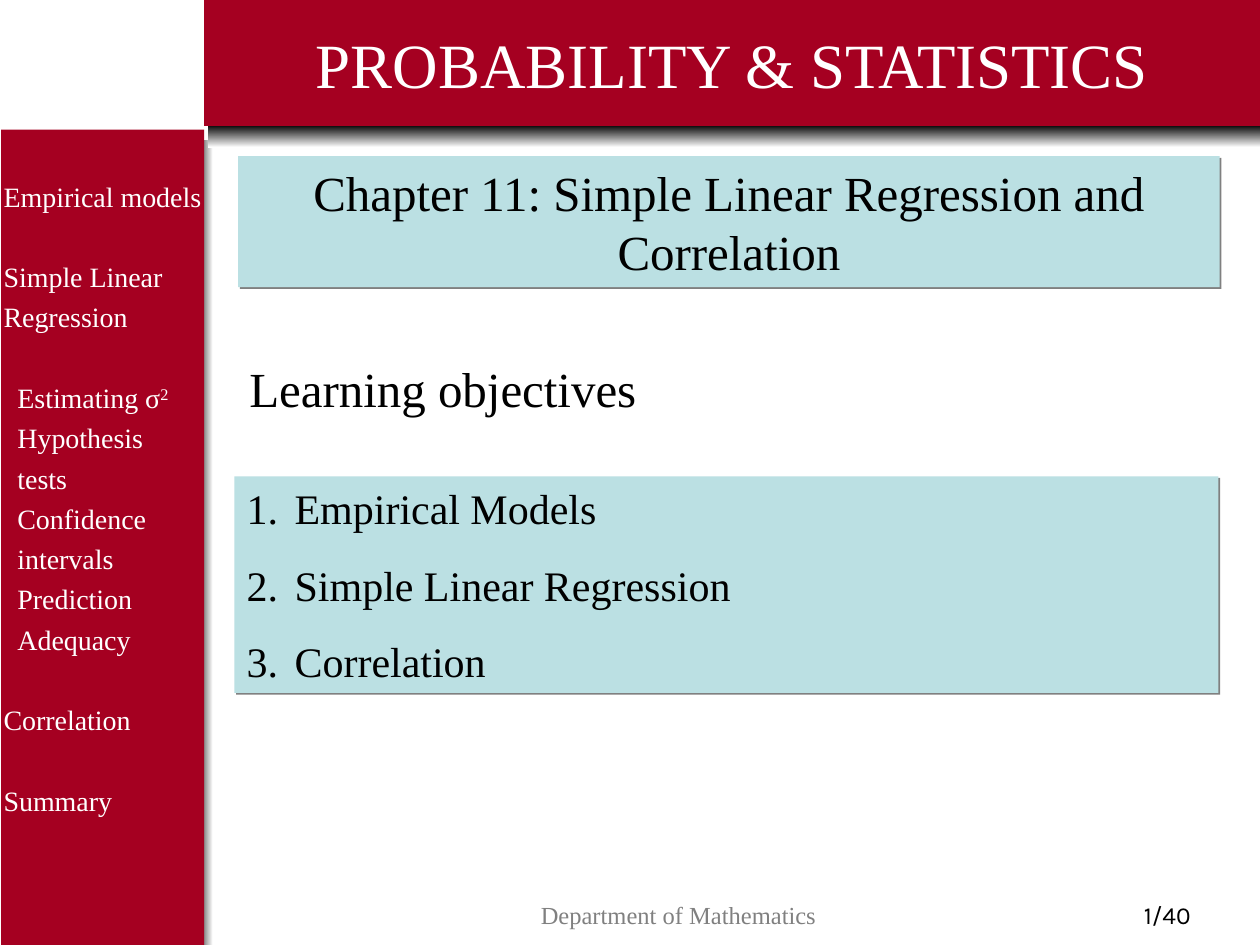
"""Build the opening slide of a chapter on regression and correlation."""

import dataclasses
import typing

import lxml.etree
import pptx
import pptx.dml.color
import pptx.enum.shapes
import pptx.enum.text
import pptx.oxml.ns
import pptx.util

Inches = pptx.util.Inches
Pt = pptx.util.Pt
Align = pptx.enum.text.PP_ALIGN
Anchor = pptx.enum.text.MSO_ANCHOR
AutoSize = pptx.enum.text.MSO_AUTO_SIZE


@dataclasses.dataclass(frozen=True)
class Theme:
    """Colours, fonts and type sizes of the slide."""

    red: str = "A50021"
    panel: str = "BBE0E3"
    white: str = "FFFFFF"
    black: str = "000000"
    grey: str = "808080"
    serif: str = "Times New Roman"
    sans: str = "Karla"
    title: int = 36
    heading: int = 28
    body: int = 24
    menu: int = 16
    footer: int = 14


THEME = Theme()


class Area(typing.NamedTuple):
    """Position and size in inches."""

    left: float
    top: float
    width: float
    height: float


@dataclasses.dataclass(frozen=True)
class Line:
    """One paragraph, with its indents in inches and spacing in points."""

    text: str
    superscript: str = ""
    margin: float = 0
    hanging: float = 0
    before: float = 0
    numbered: bool = False


@dataclasses.dataclass(frozen=True)
class Style:
    """Type and layout of one text block."""

    size: int
    color: str = THEME.black
    font: str = THEME.serif
    align: Align = Align.LEFT
    anchor: Anchor = Anchor.TOP
    spacing: float = 1.0
    right_inset: float = 0.1
    grow: bool = False


def rgb(color: str) -> pptx.dml.color.RGBColor:
    """Turn a hex string into a colour."""
    return pptx.dml.color.RGBColor.from_string(color)


def add_child(parent, tag: str, **attributes: str):
    """Append a drawing element with attributes."""
    return lxml.etree.SubElement(parent, pptx.oxml.ns.qn(tag), attributes)


def set_values(target, values: dict) -> None:
    """Set each format value on the target."""
    for name, value in values.items():
        setattr(target, name, value)


def add_rectangle(page, area: Area, colors: list[str], angle: int = 0, shadow: bool = False):
    """Draw a borderless rectangle in one colour or a two-colour gradient."""
    box = page.shapes.add_shape(
        pptx.enum.shapes.MSO_SHAPE.RECTANGLE, *map(Inches, area))
    box.shadow.inherit = False
    box.line.fill.background()
    if len(colors) == 1:
        box.fill.solid()
        box.fill.fore_color.rgb = rgb(colors[0])
    else:
        box.fill.gradient()
        box.fill.gradient_angle = angle
        for stop, color in zip(box.fill.gradient_stops, colors):
            stop.color.rgb = rgb(color)
    if shadow:
        effects = box._element.spPr.find(pptx.oxml.ns.qn("a:effectLst"))
        outer = add_child(effects, "a:outerShdw", dist=str(Pt(1.4)),
                          dir="2700000", algn="ctr", rotWithShape="0")
        add_child(outer, "a:srgbClr", val=THEME.grey)
    return box


def add_span(para, text: str, style: Style):
    """Add a styled run to a paragraph."""
    span = para.add_run()
    span.text = text
    set_values(span.font, {"name": style.font, "size": Pt(style.size), "bold": False})
    span.font.color.rgb = rgb(style.color)
    return span


def write_lines(box, lines: list[Line], style: Style) -> None:
    """Fill a box with paragraphs."""
    frame = box.text_frame
    set_values(frame, {
        "word_wrap": True,
        "auto_size": AutoSize.SHAPE_TO_FIT_TEXT if style.grow else AutoSize.NONE,
        "vertical_anchor": style.anchor,
        "margin_left": Inches(0.1),
        "margin_right": Inches(style.right_inset),
        "margin_top": Inches(0.05),
        "margin_bottom": Inches(0.05),
    })
    for index, line in enumerate(lines):
        para = frame.add_paragraph() if index else frame.paragraphs[0]
        properties = para._p.get_or_add_pPr()
        properties.set("marL", str(Inches(line.margin)))
        properties.set("indent", str(Inches(-line.hanging)))
        if line.numbered:
            add_child(add_child(properties, "a:buClr"), "a:srgbClr", val=style.color)
            add_child(properties, "a:buFontTx")
            add_child(properties, "a:buAutoNum", type="arabicPeriod")
        set_values(para, {"alignment": style.align, "line_spacing": style.spacing,
                          "space_before": Pt(line.before)})
        add_span(para, line.text, style)
        if line.superscript:
            raised = add_span(para, line.superscript, style)
            raised._r.get_or_add_rPr().set("baseline", "30000")


def add_text(page, area: Area, lines: list[Line], style: Style) -> None:
    """Place a plain text box."""
    write_lines(page.shapes.add_textbox(*map(Inches, area)), lines, style)


def draw_frame(page) -> None:
    """Draw the sidebar, its menu, the shadows and the footer."""
    add_rectangle(page, Area(1.54, 1.11, 0.15, 6.39), [THEME.white, THEME.black], 180)
    add_rectangle(page, Area(0.01, 1.03, 1.61, 6.47), [THEME.red])
    add_rectangle(page, Area(1.65, 0.99, 8.35, 0.18), [THEME.black, THEME.white], 270)
    gap, indent = 23, 0.11
    topics = ["Hypothesis", "tests", "Confidence", "intervals", "Prediction", "Adequacy"]
    menu = [
        Line("Empirical models"),
        Line("Simple Linear Regression", before=gap),
        Line("Estimating σ", "2", margin=indent, before=gap),
        *(Line(topic, margin=indent) for topic in topics),
        Line("Correlation", before=gap),
        Line("Summary", before=gap),
    ]
    add_text(page, Area(-0.07, 1.32, 1.71, 5.48), menu,
             Style(THEME.menu, THEME.white, spacing=1.2, right_inset=0, grow=True))
    add_text(page, Area(8.53, 7.09, 1.47, 0.41), [Line("1/40")],
             Style(THEME.footer, font=THEME.sans, align=Align.CENTER))
    add_text(page, Area(2.34, 7.09, 6.09, 0.41), [Line("Department of Mathematics")],
             Style(THEME.footer, THEME.grey, align=Align.CENTER))


def draw_content(page) -> None:
    """Draw the title, the chapter name and the objectives."""
    title = add_rectangle(page, Area(1.62, 0, 8.38, 1), [THEME.red])
    write_lines(title, [Line("PROBABILITY & STATISTICS")],
                Style(THEME.title, THEME.white, align=Align.CENTER, anchor=Anchor.MIDDLE))
    add_text(page, Area(1.88, 2.8, 7.02, 0.57), [Line("Learning objectives")],
             Style(THEME.heading, grow=True))
    objectives = ["Empirical Models", "Simple Linear Regression", "Correlation"]
    panel = add_rectangle(page, Area(1.86, 3.78, 7.81, 1.72), [THEME.panel], shadow=True)
    write_lines(panel, [Line(text, margin=0.38, hanging=0.38, before=15 if index else 0,
                             numbered=True) for index, text in enumerate(objectives)],
                Style(THEME.body, grow=True))
    chapter = add_rectangle(page, Area(1.89, 1.24, 7.79, 1.04), [THEME.panel], shadow=True)
    write_lines(chapter, [Line("Chapter 11: Simple Linear Regression and Correlation")],
                Style(THEME.heading, align=Align.CENTER, grow=True))


def main() -> None:
    """Build and save the deck."""
    deck = pptx.Presentation()
    set_values(deck, {"slide_width": Inches(10), "slide_height": Inches(7.5)})
    page = deck.slides.add_slide(deck.slide_layouts[6])
    draw_frame(page)
    draw_content(page)
    deck.save("out.pptx")


if __name__ == "__main__":
    main()
